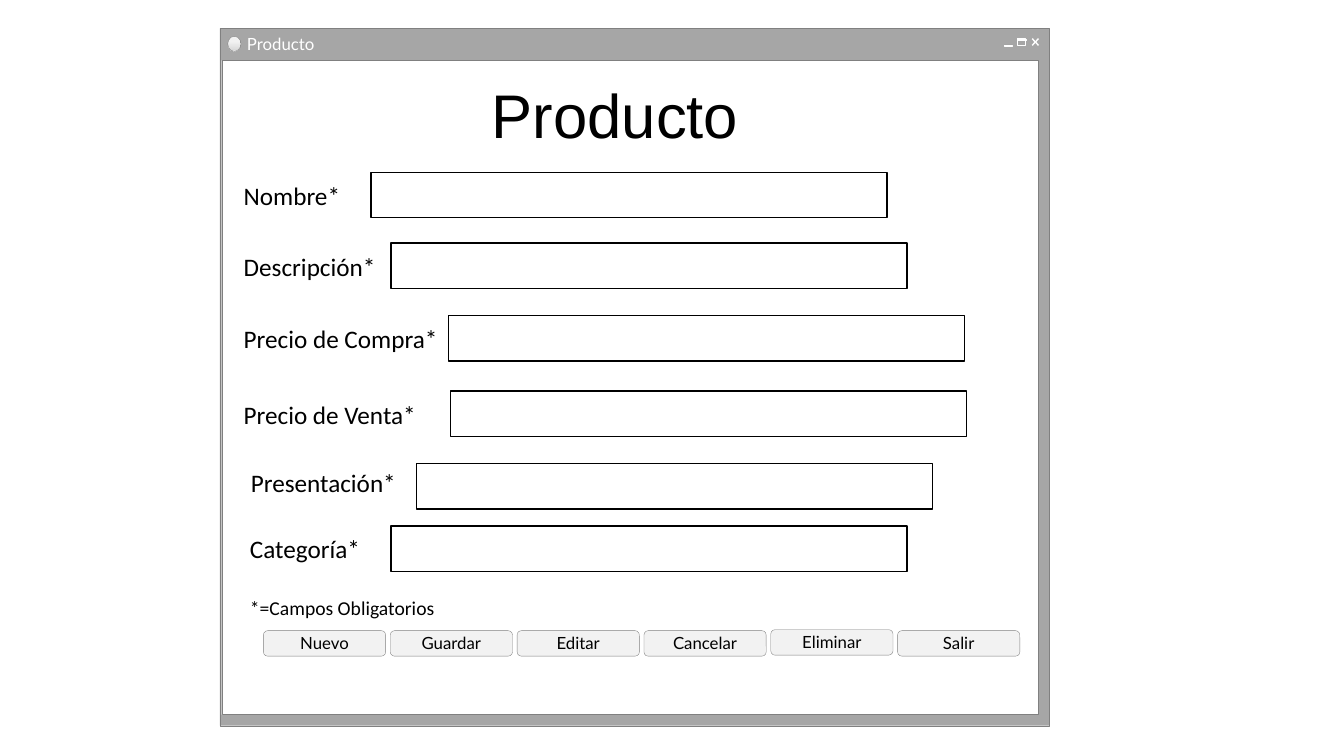
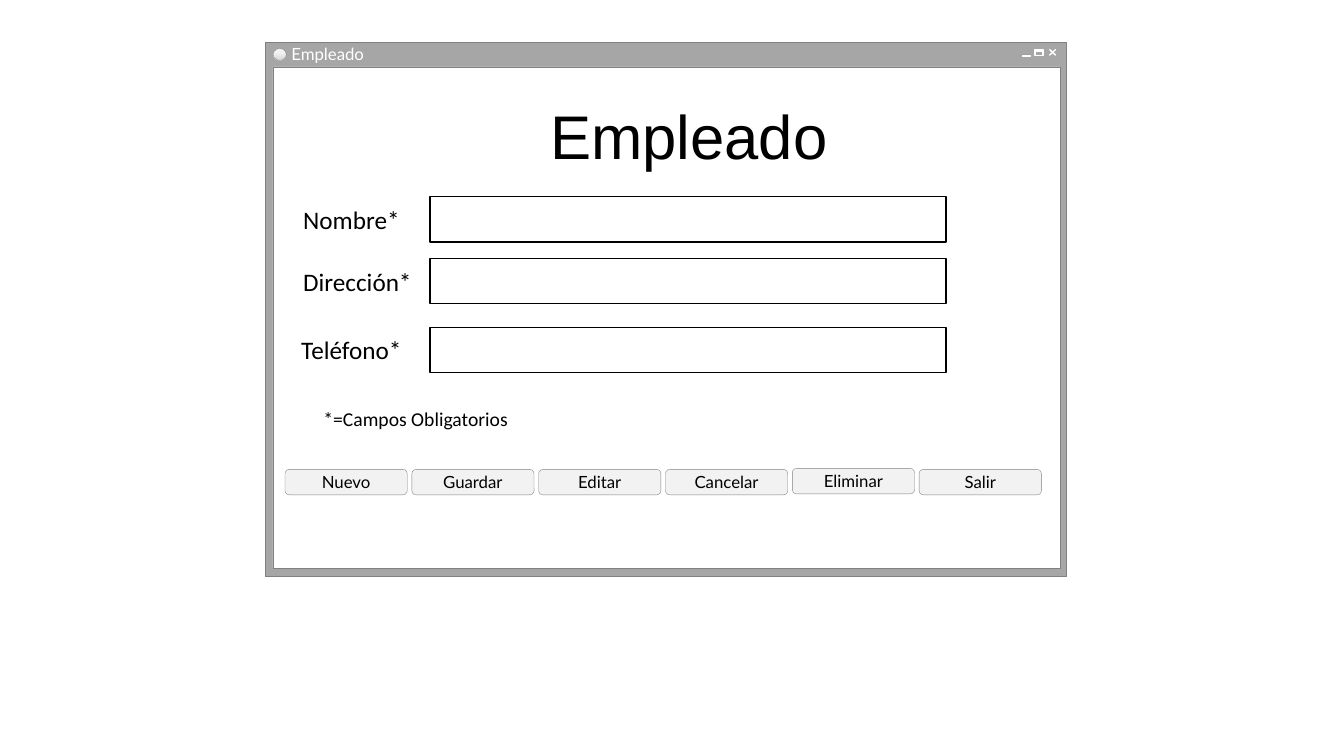
import copy
from pptx import Presentation
from pptx.dml.color import RGBColor
from pptx.enum import shapes, text
from pptx.oxml import ns, xmlchemy
from pptx.util import Pt

COLOURS = {"frame": "A6A6A6", "edge": "808080", "white": "FFFFFF", "black": "000000",
           "button": "F2F2F2", "shade": "D9D9D9", "control": "919191"}
BUTTONS = ["Nuevo", "Guardar", "Editar", "Cancelar", "Eliminar", "Salir"]
BUTTON_PITCH = 90.6
FIELD_SIZE = (368.6, 32.4)
RECT = shapes.MSO_SHAPE.RECTANGLE
OVAL = shapes.MSO_SHAPE.OVAL
ROUNDED = shapes.MSO_SHAPE.ROUNDED_RECTANGLE
LEFT, CENTER = text.PP_ALIGN.LEFT, text.PP_ALIGN.CENTER

# Each field: label, label left, top and width, field left and top
WINDOWS = [
    {"name": "Producto", "frame": (157, 20.2, 592.6, 498.2),
     "pane": (158.4, 43.2, 583.2, 467.3), "caption": (172.8, 23),
     "dot": (162.7, 25.9, 9.4, 10.8), "close": (737.3, 27.6, 4.8),
     "title": (239, 51.1, 401, 60.5),
     "fields": [("Nombre*", 167, 125.3, 106.6, 265, 123.1),
                ("Descripción*", 167, 175.7, 121, 279.4, 173.5),
                ("Precio de Compra*", 167, 227.5, 157, 320.4, 225.4),
                ("Precio de Venta*", 167, 281.5, 144, 321.8, 279.4),
                ("Presentación*", 172.1, 330.5, 119.5, 297.4, 331.2),
                ("Categoría*", 171.4, 377.3, 106.6, 279.4, 375.8)],
     "note": (171.4, 421.9), "buttons": (188.2, 450.5)},
    {"name": "Empleado", "frame": (189.4, 30.2, 572.4, 381.6),
     "pane": (195, 47.7, 562.2, 358), "caption": (204.5, 29.5),
     "dot": (195.1, 34.6, 9.4, 8.6), "close": (749.6, 35.3, 4.2),
     "title": (259.2, 66.2, 465.8, 60.5),
     "fields": [("Nombre*", 209.5, 142.6, 106.6, 307.1, 140.4),
                ("Dirección*", 209.5, 186.5, 106.6, 307.1, 184.5),
                ("Teléfono*", 208.1, 235.4, 106.6, 307.1, 233.8)],
     "note": (223.9, 287.3), "buttons": (203.6, 335.3)},
]


def add_box(parent, kind, box, fill, line="edge", weight=0.25):
    shape = parent.add_shape(kind, *map(Pt, box))
    shape.shadow.inherit = False
    if fill:
        shape.fill.solid()
        shape.fill.fore_color.rgb = RGBColor.from_string(COLOURS[fill])
    else:
        shape.fill.background()
    shape.line.color.rgb = RGBColor.from_string(COLOURS[line])
    shape.line.width = Pt(weight)
    return shape


def write(shape, words, font, size, colour="black", align=LEFT,
          anchor=text.MSO_ANCHOR.TOP, insets=(7.2, 3.6, 7.2, 3.6)):
    frame = shape.text_frame
    frame.text = words
    frame.word_wrap = True
    frame.vertical_anchor = anchor
    frame.margin_left, frame.margin_top, frame.margin_right, frame.margin_bottom = map(Pt, insets)
    paragraph = frame.paragraphs[0]
    paragraph.alignment = align
    run_font = paragraph.runs[0].font
    run_font.name, run_font.size = font, Pt(size)
    run_font.color.rgb = RGBColor.from_string(COLOURS[colour])


deck = Presentation()
deck.slide_width, deck.slide_height = Pt(960), Pt(540)

for window in WINDOWS:
    slide = deck.slides.add_slide(deck.slide_layouts[6])
    canvas = slide.shapes

    # Window frame, pane and caption
    chrome = canvas.add_group_shape().shapes
    add_box(chrome, RECT, window["frame"], "frame")
    add_box(chrome, RECT, window["pane"], "white")
    caption = chrome.add_textbox(*map(Pt, (*window["caption"], 66.2, 18)))
    write(caption, window["name"], "Lato", 12, "white",
          anchor=text.MSO_ANCHOR.MIDDLE, insets=(3.6, 1.4, 7.2, 2.2))

    # Close, maximise and minimise controls
    left, top, size = window["close"]
    for start, end in [(top, top + size), (top + size, top)]:
        stroke = chrome.add_connector(shapes.MSO_CONNECTOR.STRAIGHT,
                                      Pt(left), Pt(start), Pt(left + 4.5), Pt(end))
        stroke.line.color.rgb = RGBColor.from_string(COLOURS["white"])
        stroke.line.width = Pt(1)
        stroke._element.spPr.append(xmlchemy.OxmlElement("a:effectLst"))
    add_box(chrome, RECT, (left - 10.4, top + 0.6, 5.8, 0.8), "control", "white")
    add_box(chrome, RECT, (left - 10.4, top, 5.8, size), None, "white", 1)
    add_box(chrome, RECT, (left - 19.8, top + size - 0.4, 5.8, 0.8), "control", "white")

    # Shaded dot with three gradient stops
    dot = add_box(chrome, OVAL, window["dot"], "button")
    dot.fill.gradient()
    dot.fill.gradient_angle = 270
    stop_list = dot._element.spPr.find(ns.qn("a:gradFill")).find(ns.qn("a:gsLst"))
    stop_list.append(copy.deepcopy(stop_list[-1]))
    shades = [(0.36, "button"), (0.91, "shade"), (1, "button")]
    for stop, (position, shade) in zip(dot.fill.gradient_stops, shades):
        stop.position = position
        stop.color.rgb = RGBColor.from_string(COLOURS[shade])

    # Form title
    title = canvas.add_textbox(*map(Pt, window["title"]))
    write(title, window["name"], "Arial", 44, align=CENTER)

    # Labels and entry fields
    for label, label_left, label_top, label_width, field_left, field_top in window["fields"]:
        label_box = canvas.add_textbox(*map(Pt, (label_left, label_top, label_width, 29)))
        write(label_box, label, "Calibri", 18)
        add_box(canvas, RECT, (field_left, field_top, *FIELD_SIZE), "white", "black", 1)

    # Note on required fields
    note = canvas.add_textbox(*map(Pt, (*window["note"], 150.5, 24.5)))
    write(note, "*=Campos Obligatorios", "Calibri", 14)

    # Button row, with Eliminar set slightly higher
    row_left, row_top = window["buttons"]
    for index, action in enumerate(BUTTONS):
        lift = 0.7 if action == "Eliminar" else 0
        button = add_box(canvas, ROUNDED,
                         (row_left + index * BUTTON_PITCH, row_top - lift, 87.3, 18.2), "button")
        write(button, action, "Lato", 12, align=CENTER,
              anchor=text.MSO_ANCHOR.MIDDLE, insets=(7.2, 0, 7.2, 0.7))

deck.save("out.pptx")
